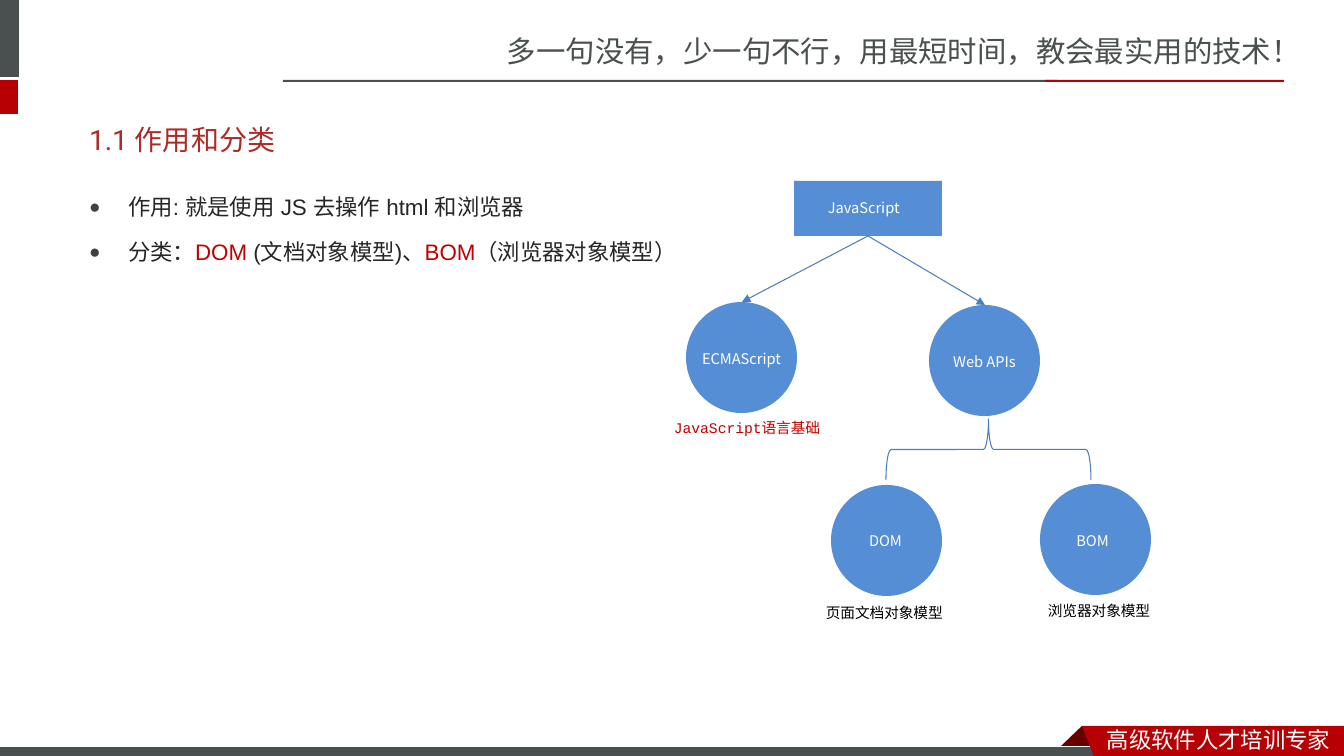
from lxml import etree
from pptx import Presentation
from pptx.dml.color import RGBColor
from pptx.enum.shapes import MSO_CONNECTOR, MSO_SHAPE
from pptx.enum.text import MSO_ANCHOR, MSO_AUTO_SIZE, PP_ALIGN
from pptx.oxml.ns import qn
from pptx.util import Emu, Pt

EMU_PER_PX = 914400 / 100.8
SANS, LATIN, MONO, TITLE = "Noto Sans CJK SC", "Arial", "Courier New", "Roboto"

WHITE = RGBColor(0xFF, 0xFF, 0xFF)
BLACK = RGBColor(0x00, 0x00, 0x00)
SLATE = RGBColor(0x49, 0x50, 0x4F)
RED = RGBColor(0xB6, 0x00, 0x04)
DARK_RED = RGBColor(0x68, 0x00, 0x00)
TITLE_RED = RGBColor(0xAD, 0x2B, 0x26)
ACCENT = RGBColor(0xC0, 0x00, 0x00)
INK = RGBColor(0x26, 0x26, 0x26)
BULLET = RGBColor(0x40, 0x40, 0x40)
BLUE = RGBColor(0x55, 0x8E, 0xD5)
LINE_BLUE = RGBColor(0x4B, 0x7E, 0xBC)

RECTANGLE, OVAL, BRACE = MSO_SHAPE.RECTANGLE, MSO_SHAPE.OVAL, MSO_SHAPE.LEFT_BRACE
STRAIGHT = MSO_CONNECTOR.STRAIGHT
LEFT, CENTER = PP_ALIGN.LEFT, PP_ALIGN.CENTER
TOP, MIDDLE = MSO_ANCHOR.TOP, MSO_ANCHOR.MIDDLE
FIT_SHAPE, NO_FIT = MSO_AUTO_SIZE.SHAPE_TO_FIT_TEXT, MSO_AUTO_SIZE.NONE


def px(*lengths):
    return [Emu(round(length * EMU_PER_PX)) for length in lengths]


def set_font(font, size, name, color):
    font.size, font.name = Pt(size), name
    font.color.rgb = color
    etree.SubElement(font._rPr, qn("a:ea")).set("typeface", name)


def set_bullet(paragraph, indent):
    properties = paragraph._p.get_or_add_pPr()
    properties.set("marL", str(indent))
    properties.set("indent", str(-indent))
    color = etree.SubElement(properties, qn("a:buClr"))
    etree.SubElement(color, qn("a:srgbClr")).set("val", str(BULLET))
    etree.SubElement(properties, qn("a:buSzPct")).set("val", "85000")
    etree.SubElement(properties, qn("a:buFont")).set("typeface", LATIN)
    etree.SubElement(properties, qn("a:buChar")).set("char", "●")


class SlideBuilder:
    def __init__(self, presentation):
        self.slide = presentation.slides.add_slide(presentation.slide_layouts[1])
        self.shapes = self.slide.shapes

    def paint(self, shape, fill=None, line=None):
        shape.shadow.inherit = False
        if fill is None:
            shape.fill.background()
        else:
            shape.fill.solid()
            shape.fill.fore_color.rgb = fill
        if line is None:
            shape.line.fill.background()
        else:
            shape.line.color.rgb = line
            shape.line.width = Pt(0.75)
        return shape

    def shape(self, kind, box, fill=None, line=None, shapes=None):
        return self.paint((shapes or self.shapes).add_shape(kind, *px(*box)), fill, line)

    def polygon(self, points, fill):
        builder = self.shapes.build_freeform(*points[0], scale=EMU_PER_PX)
        builder.add_line_segments(points[1:], close=True)
        self.paint(builder.convert_to_shape(), fill)

    def text(self, text, box, size, color, align=LEFT, shapes=None):
        frame = (shapes or self.shapes).add_textbox(*px(*box)).text_frame
        frame.word_wrap, frame.auto_size = True, FIT_SHAPE
        paragraph = frame.paragraphs[0]
        paragraph.alignment = align
        set_font(paragraph.font, size, SANS, color)
        paragraph.add_run().text = text
        return paragraph

    def placeholder(self, index, box, anchor):
        shape = self.slide.placeholders[index]
        shape.left, shape.top, shape.width, shape.height = px(*box)
        frame = shape.text_frame
        frame.word_wrap, frame.auto_size = True, NO_FIT
        frame.vertical_anchor = anchor
        return frame

    def title(self, text, box):
        paragraph = self.placeholder(0, box, MIDDLE).paragraphs[0]
        paragraph.alignment = LEFT
        set_font(paragraph.font, 20, TITLE, TITLE_RED)
        paragraph.add_run().text = text

    def bullets(self, items, box):
        frame = self.placeholder(1, box, TOP)
        for number, runs in enumerate(items):
            paragraph = frame.add_paragraph() if number else frame.paragraphs[0]
            paragraph.line_spacing, paragraph.space_before = 1.5, Pt(3.2)
            set_bullet(paragraph, px(39)[0])
            set_font(paragraph.font, 16, LATIN, INK)
            for text, color in runs:
                run = paragraph.add_run()
                run.text = text
                if color != INK:
                    run.font.color.rgb = color

    def node(self, kind, box, label, label_box, align=CENTER):
        shapes = self.shapes.add_group_shape().shapes
        self.shape(kind, box, BLUE, shapes=shapes)
        self.text(label, label_box, 10.5, WHITE, align, shapes)
        return shapes

    def circle(self, label, left, top, label_left, label_top):
        return self.node(OVAL, (left, top, 111, 111), label, (label_left, label_top, 143, 28))

    def arrow(self, start, end):
        connector = self.shapes.add_connector(STRAIGHT, *px(*start, *end))
        connector.line.color.rgb = LINE_BLUE
        connector.line.width = Pt(0.75)
        line = connector.line._get_or_add_ln()
        etree.SubElement(line, qn("a:tailEnd")).set("type", "triangle")
        etree.SubElement(connector._element.spPr, qn("a:effectLst"))


def main():
    presentation = Presentation()
    presentation.slide_width, presentation.slide_height = px(1344, 756)
    builder = SlideBuilder(presentation)

    # Header
    builder.text("多一句没有，少一句不行，用最短时间，教会最实用的技术！", (497, 28, 848, 47), 21, SLATE)
    for box, color in (
        ((-6, 0, 25, 77), SLATE),
        ((-6, 80, 24, 34), RED),
        ((283, 80, 774, 2), SLATE),
        ((1045, 80, 239, 2), RED),
    ):
        builder.shape(RECTANGLE, box, color)

    # Footer ribbon
    builder.polygon([(1082, 726), (1104, 748), (1103, 749), (1060, 749), (1059, 748)], DARK_RED)
    builder.shape(RECTANGLE, (-1, 747, 1109, 12), SLATE, WHITE)
    builder.polygon([(1082, 726), (1344, 726), (1344, 760), (1095, 759)], RED)
    builder.text("高级软件人才培训专家", (1097, 721, 247, 37), 16, WHITE)

    # Title and list
    builder.title("1.1 作用和分类", (79, 111, 1184, 57))
    builder.bullets([
        [("作用: 就是使用 JS 去操作 html 和浏览器", INK)],
        [("分类：", INK), ("DOM", ACCENT), (" (文档对象模型)、", INK),
         ("BOM", ACCENT), ("（浏览器对象模型）", INK)],
    ], (79, 175, 1181, 502))

    # Tree nodes with captions
    builder.node(RECTANGLE, (794, 181, 148, 55), "JavaScript", (818, 194, 98, 28), LEFT)
    script = builder.circle("ECMAScript", 686, 302, 670, 345)
    caption = builder.text("JavaScript", (664, 414, 211, 28), 10.5, ACCENT, shapes=script)
    caption.runs[0].font.name = MONO
    caption.add_run().text = "语言基础"
    document = builder.circle("DOM", 831, 485, 814, 527)
    builder.text("页面文档对象模型", (816, 599, 144, 28), 10.5, BLACK, shapes=document)
    browser = builder.circle("BOM", 1040, 484, 1021, 527)
    builder.text("浏览器对象模型", (1038, 597, 139, 28), 10.5, BLACK, shapes=browser)

    # Branches
    root = (868, 236)
    builder.arrow(root, (742, 302))
    builder.shape(BRACE, (958, 347, 61, 205), line=LINE_BLUE).rotation = 90
    builder.circle("Web APIs", 929, 305, 913, 348)
    builder.arrow(root, (985, 305))

    presentation.save("out.pptx")


if __name__ == "__main__":
    main()
